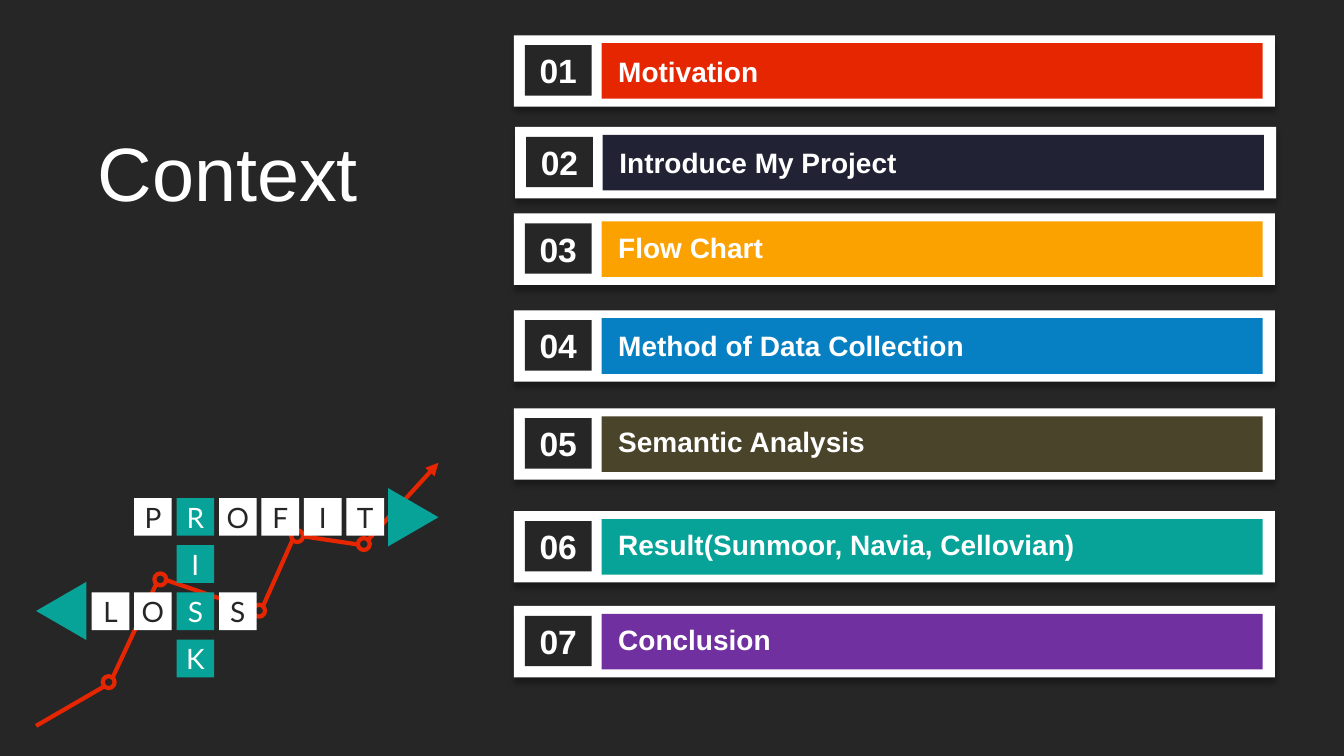
from dataclasses import dataclass

from lxml.etree import SubElement
from pptx import Presentation
from pptx.dml.color import RGBColor
from pptx.enum.shapes import MSO_CONNECTOR, MSO_SHAPE
from pptx.enum.text import MSO_ANCHOR, PP_ALIGN
from pptx.oxml.ns import qn
from pptx.util import Cm, Pt


@dataclass(frozen=True)
class Theme:
    dark: str = "262626"
    white: str = "FFFFFF"
    red: str = "E62601"
    navy: str = "212334"
    orange: str = "FBA200"
    blue: str = "0680C3"
    olive: str = "4A452A"
    teal: str = "07A398"
    purple: str = "7030A0"
    shadow: str = "000000"
    title_size: int = 54
    number_size: int = 24
    label_size: int = 20
    letter_size: int = 20
    trend_width: int = 3


theme = Theme()


def add_block(shapes, preset, box, fill):
    block = shapes.add_shape(preset, *map(Cm, box))
    block.shadow.inherit = False
    block.fill.solid()
    block.fill.fore_color.rgb = RGBColor.from_string(fill)
    block.line.fill.background()
    return block


def write(holder, text, color, font_format, frame_format, align=PP_ALIGN.LEFT):
    frame = holder.text_frame
    for name, value in frame_format.items():
        setattr(frame, name, value)
    paragraph = frame.paragraphs[0]
    paragraph.alignment = align
    run = paragraph.add_run()
    run.text = text
    run.font.color.rgb = RGBColor.from_string(color)
    for name, value in font_format.items():
        setattr(run.font, name, value)


title_font = {"name": "Arial", "size": Pt(theme.title_size)}
number_font = {"name": "Arial", "size": Pt(theme.number_size), "bold": True}
label_font = {"name": "Arial", "size": Pt(theme.label_size), "bold": True}
letter_font = {"name": "Lato", "size": Pt(theme.letter_size)}
middle = {"word_wrap": True, "vertical_anchor": MSO_ANCHOR.MIDDLE}
top = {"word_wrap": True, "vertical_anchor": MSO_ANCHOR.TOP}
no_margins = dict.fromkeys(
    ["margin_left", "margin_right", "margin_top", "margin_bottom"], 0
)

deck = Presentation()
deck.slide_width, deck.slide_height = Cm(33.87), Cm(19.05)
slide = deck.slides.add_slide(deck.slide_layouts[6])
slide.background.fill.solid()
slide.background.fill.fore_color.rgb = RGBColor.from_string(theme.dark)

title = slide.shapes.add_textbox(Cm(2.21), Cm(3.02), Cm(7.54), Cm(2.57))
write(title, "Context", theme.white, title_font, middle)

trend = slide.shapes.add_group_shape().shapes
trend_nodes = [
    (2.59, 17.04),
    (3.89, 14.45),
    (6.38, 15.24),
    (7.34, 13.36),
    (9.02, 13.56),
]
for left, node_top in trend_nodes:
    node = add_block(trend, MSO_SHAPE.OVAL, (left, node_top, 0.3, 0.3), theme.dark)
    node.fill.background()
    node.line.color.rgb = RGBColor.from_string(theme.red)
    node.line.width = Pt(theme.trend_width)

trend_segments = [
    (2.62, 17.3, 0.91, 18.29),
    (3.94, 14.71, 2.84, 17.07),
    (6.38, 15.37, 4.17, 14.61),
    (7.37, 13.61, 6.63, 15.27),
    (7.62, 13.51, 9.02, 13.72),
    (9.27, 13.61, 11.05, 11.66),
]
for ends in trend_segments:
    segment = trend.add_connector(MSO_CONNECTOR.STRAIGHT, *map(Cm, ends))
    segment.line.color.rgb = RGBColor.from_string(theme.red)
    segment.line.width = Pt(theme.trend_width)
    SubElement(segment._element.spPr, qn("a:effectLst"))
SubElement(segment.line._get_or_add_ln(), qn("a:tailEnd"), type="triangle")

crossword = slide.shapes.add_group_shape().shapes
risk_column = 2
crossword_rows = [(0, 1, "PROFIT"), (1, 2, "I"), (2, 0, "LOSS"), (3, 2, "K")]
for row, first_column, letters in crossword_rows:
    for column, letter in enumerate(letters, first_column):
        fill, color = theme.white, theme.dark
        if column == risk_column:
            fill, color = theme.teal, theme.white
        box = (2.31 + 1.07 * column, 12.55 + 1.19 * row, 0.95, 0.95)
        tile = add_block(crossword, MSO_SHAPE.RECTANGLE, box, fill)
        write(tile, letter, color, letter_font, middle | no_margins, PP_ALIGN.CENTER)

for left, arrow_top, turn in [(9.68, 12.4, 90), (0.81, 14.76, 270)]:
    box = (left, arrow_top, 1.47, 1.27)
    arrow = add_block(crossword, MSO_SHAPE.ISOSCELES_TRIANGLE, box, theme.teal)
    arrow.rotation = turn

agenda = [
    ("Motivation", theme.red, 12.95, 0.89, 0.36),
    ("Introduce My Project", theme.navy, 12.98, 3.2, 0.33),
    ("Flow Chart", theme.orange, 12.95, 5.38, 0.3),
    ("Method of Data Collection", theme.blue, 12.95, 7.82, 0.33),
    ("Semantic Analysis", theme.olive, 12.95, 10.29, 0.28),
    ("Result(Sunmoor, Navia, Cellovian)", theme.teal, 12.95, 12.88, 0.28),
    ("Conclusion", theme.purple, 12.95, 15.27, 0.3),
]
for index, (topic, color, left, row_top, label_drop) in enumerate(agenda, 1):
    entry = slide.shapes.add_group_shape().shapes
    card = add_block(
        entry, MSO_SHAPE.RECTANGLE, (left, row_top, 19.18, 1.8), theme.white
    )
    effects = card._element.spPr.find(qn("a:effectLst"))
    shade = SubElement(
        effects,
        qn("a:outerShdw"),
        blurRad=str(Pt(4)),
        dist=str(Pt(4)),
        dir="5400000",
        algn="t",
        rotWithShape="0",
    )
    tint = SubElement(shade, qn("a:srgbClr"), val=theme.shadow)
    SubElement(tint, qn("a:alpha"), val="30000")

    bar_box = (left + 2.21, row_top + 0.2, 16.66, 1.4)
    add_block(entry, MSO_SHAPE.RECTANGLE, bar_box, color)
    number_box = (left + 0.28, row_top + 0.25, 1.68, 1.27)
    number = add_block(entry, MSO_SHAPE.RECTANGLE, number_box, theme.dark)
    write(
        number, f"{index:02d}", theme.white, number_font, middle, PP_ALIGN.CENTER
    )
    label_box = (left + 2.38, row_top + label_drop, 15.95, 1.12)
    label = entry.add_textbox(*map(Cm, label_box))
    write(label, topic, theme.white, label_font, top)

deck.save("out.pptx")
